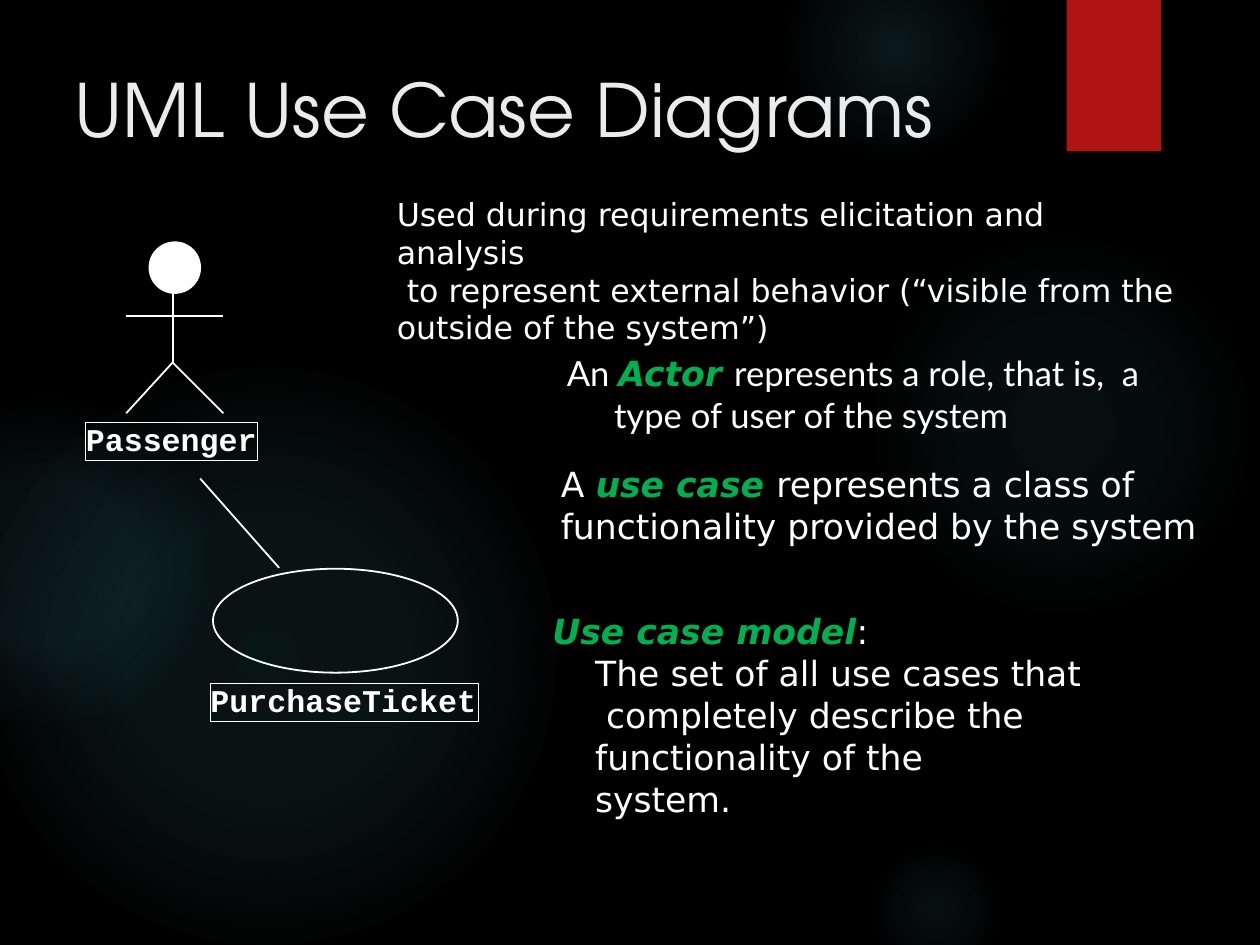
from dataclasses import dataclass

from lxml import etree
from pptx import Presentation
from pptx.dml.color import RGBColor
from pptx.enum.shapes import MSO_CONNECTOR as Connector, MSO_SHAPE as Shape
from pptx.enum.text import MSO_ANCHOR as Anchor, PP_ALIGN as Align
from pptx.oxml.ns import qn
from pptx.util import Inches, Pt


@dataclass(frozen=True)
class Theme:
    background: str = "000000"
    glow: str = "50B9C1"
    ribbon: str = "B01513"
    title: str = "EBEBEB"
    text: str = "FFFFFF"
    emphasis: str = "00AF50"
    title_font: str = "TeX Gyre Adventor"
    body_font: str = "DejaVu Sans"
    actor_font: str = "Lato"
    label_font: str = "Courier New"
    title_size: float = 61.6
    intro_size: float = 26.5
    body_size: float = 29
    line: float = 1.5
    thin_line: float = 0.75


THEME = Theme()
BREAK = "\v"


def rgb(value):
    return RGBColor.from_string(value)


class SlideBuilder:
    def __init__(self, slide, theme):
        self.slide = slide
        self.theme = theme
        slide.background.fill.solid()
        slide.background.fill.fore_color.rgb = rgb(theme.background)

    def shape(self, kind, box, fill=None, line=None):
        shape = self.slide.shapes.add_shape(kind, *map(Inches, box))
        shape.shadow.inherit = False
        if fill:
            shape.fill.solid()
            shape.fill.fore_color.rgb = rgb(fill)
        else:
            shape.fill.background()
        if line:
            shape.line.color.rgb = rgb(self.theme.text)
            shape.line.width = Pt(line)
        else:
            shape.line.fill.background()
        return shape

    def glow(self, left, top, size, stops):
        """Circle that fades outwards; stops are (position, opacity) in percent."""
        shape = self.shape(Shape.OVAL, (left, top, size, size), self.theme.glow)
        properties = shape.fill._xPr
        solid = properties.find(qn("a:solidFill"))
        gradient = etree.Element(qn("a:gradFill"), rotWithShape="1")
        stop_list = etree.SubElement(gradient, qn("a:gsLst"))
        for position, opacity in stops:
            stop = etree.SubElement(stop_list, qn("a:gs"), pos=str(position * 1000))
            color = etree.SubElement(stop, qn("a:srgbClr"), val=self.theme.glow)
            etree.SubElement(color, qn("a:alpha"), val=str(opacity * 1000))
        path = etree.SubElement(gradient, qn("a:path"))
        path.set("path", "circle")
        center = dict.fromkeys("ltrb", "50000")
        etree.SubElement(path, qn("a:fillToRect"), center)
        properties.replace(solid, gradient)

    def line(self, start, end):
        points = map(Inches, (*start, *end))
        connector = self.slide.shapes.add_connector(Connector.STRAIGHT, *points)
        connector.line.color.rgb = rgb(self.theme.text)
        connector.line.width = Pt(self.theme.line)
        etree.SubElement(connector._element.spPr, qn("a:effectLst"))

    def label(self, text, box):
        shape = self.shape(Shape.RECTANGLE, box, line=self.theme.thin_line)
        frame = self.frame(shape)
        frame.word_wrap = False
        frame.text = text
        paragraph = frame.paragraphs[0]
        paragraph.alignment = Align.LEFT
        paragraph.line_spacing = Pt(29.2)
        self.format(paragraph, self.theme.label_font, self.theme.intro_size, bold=True)

    def text_box(self, box, top_inset=0.01):
        shape = self.slide.shapes.add_textbox(*map(Inches, box))
        return self.frame(shape, top_inset)

    def frame(self, shape, top_inset=0):
        frame = shape.text_frame
        frame.word_wrap = True
        frame.vertical_anchor = Anchor.TOP
        frame.margin_left = frame.margin_right = frame.margin_bottom = 0
        frame.margin_top = Inches(top_inset)
        return frame

    def format(self, paragraph, font, size, color=None, bold=False):
        for run in paragraph.runs:
            run.font.name = font
            run.font.size = Pt(size)
            run.font.bold = bold
            run.font.color.rgb = rgb(color or self.theme.text)

    def paragraph(self, frame, text, font, size, color=None, before=0,
                  spacing=None, left=0.01, first=0):
        paragraph = frame.paragraphs[0]
        if paragraph.runs:
            paragraph = frame.add_paragraph()
        paragraph.text = text
        paragraph.space_before = Pt(before)
        paragraph.line_spacing = spacing
        properties = paragraph._p.get_or_add_pPr()
        properties.set("marL", str(Inches(left)))
        properties.set("indent", str(Inches(first)))
        self.format(paragraph, font, size, color)
        return paragraph

    def append(self, paragraph, pieces, font):
        for piece in pieces:
            if piece == BREAK:
                paragraph.add_line_break()
                continue
            run = paragraph.add_run()
            run.text = piece
            run.font.name = font
            run.font.size = Pt(self.theme.body_size)
            run.font.color.rgb = rgb(self.theme.text)

    def emphasize(self, run):
        run.font.name = self.theme.body_font
        run.font.bold = run.font.italic = True
        run.font.color.rgb = rgb(self.theme.emphasis)


def draw_background(builder):
    builder.glow(10.1, 2.69, 4.52, [(0, 7), (36, 6), (69, 0)])
    builder.glow(9.13, -0.73, 2.57, [(0, 14), (36, 7), (73, 0)])
    builder.glow(10.1, 9.78, 1.59, [(0, 9), (36, 5), (66, 0)])
    builder.glow(-0.25, 4.28, 6.72, [(0, 11), (36, 10), (75, 0)])
    builder.glow(-1.35, 4.64, 3.79, [(0, 8), (36, 8), (72, 0)])
    builder.shape(Shape.RECTANGLE, (12.42, 0, 1.1, 1.76), THEME.ribbon)


def draw_diagram(builder):
    neck, hip = (2.01, 3.22), (2.01, 4.22)
    left, right = 1.47, 2.6
    builder.line(neck, hip)
    for foot in (left, right):
        builder.line(hip, (foot, 4.81))
    builder.line((left, 3.68), (right, 3.68))
    builder.shape(Shape.OVAL, (1.74, 2.82, 0.59, 0.59), THEME.text, THEME.line)
    builder.label("Passenger", (1, 4.92, 2, 0.44))
    builder.shape(Shape.OVAL, (2.48, 6.62, 2.85, 1.21), line=THEME.line)
    builder.line((2.33, 5.57), (3.25, 6.61))
    builder.label("PurchaseTicket", (2.45, 7.96, 3.12, 0.44))


def write_texts(builder):
    body = THEME.body_font, THEME.body_size

    frame = builder.text_box((0.86, 0.74, 10.04, 1.05))
    builder.paragraph(frame, "UML Use Case Diagrams", THEME.title_font,
                      THEME.title_size, THEME.title, before=1.1)

    frame = builder.text_box((4.61, 2.24, 9.15, 1.35), 0.03)
    builder.paragraph(
        frame, "Used during requirements elicitation and analysis\v to represent "
        "external behavior (“visible from the\voutside of the system”)",
        THEME.body_font, THEME.intro_size, before=2, spacing=Pt(31.7))

    frame = builder.text_box((6.42, 7.08, 6.28, 1.98), 0.02)
    heading = builder.paragraph(frame, "Use case model", *body, before=1.2)
    builder.emphasize(heading.runs[0])
    builder.append(heading, [":"], THEME.body_font)
    builder.paragraph(frame, "The set of all use cases that\v completely describe the",
                      *body, before=0.1, spacing=1.01, left=0.51)
    builder.paragraph(frame, "functionality of the\vsystem.", *body, before=0.5, left=0.51)

    frame = builder.text_box((6.52, 4.08, 7.5, 2.3))
    actor = builder.paragraph(frame, "An ", THEME.actor_font, THEME.body_size,
                              before=1, spacing=1.01, left=0.63, first=-0.55)
    builder.append(actor, ["Actor ", "represents a role, that is,  a", BREAK,
                           "type of user of the system"], THEME.actor_font)
    use_case = builder.paragraph(frame, "A ", *body, before=23.1, spacing=1.01)
    builder.append(use_case, ["use case ", "represents a class of", BREAK,
                              "functionality provided by the system"], THEME.body_font)
    for paragraph in (actor, use_case):
        builder.emphasize(paragraph.runs[1])


def main():
    presentation = Presentation()
    presentation.slide_width = Inches(14.67)
    presentation.slide_height = Inches(11)
    slide = presentation.slides.add_slide(presentation.slide_layouts[6])
    builder = SlideBuilder(slide, THEME)
    draw_background(builder)
    draw_diagram(builder)
    write_texts(builder)
    presentation.save("out.pptx")


if __name__ == "__main__":
    main()
